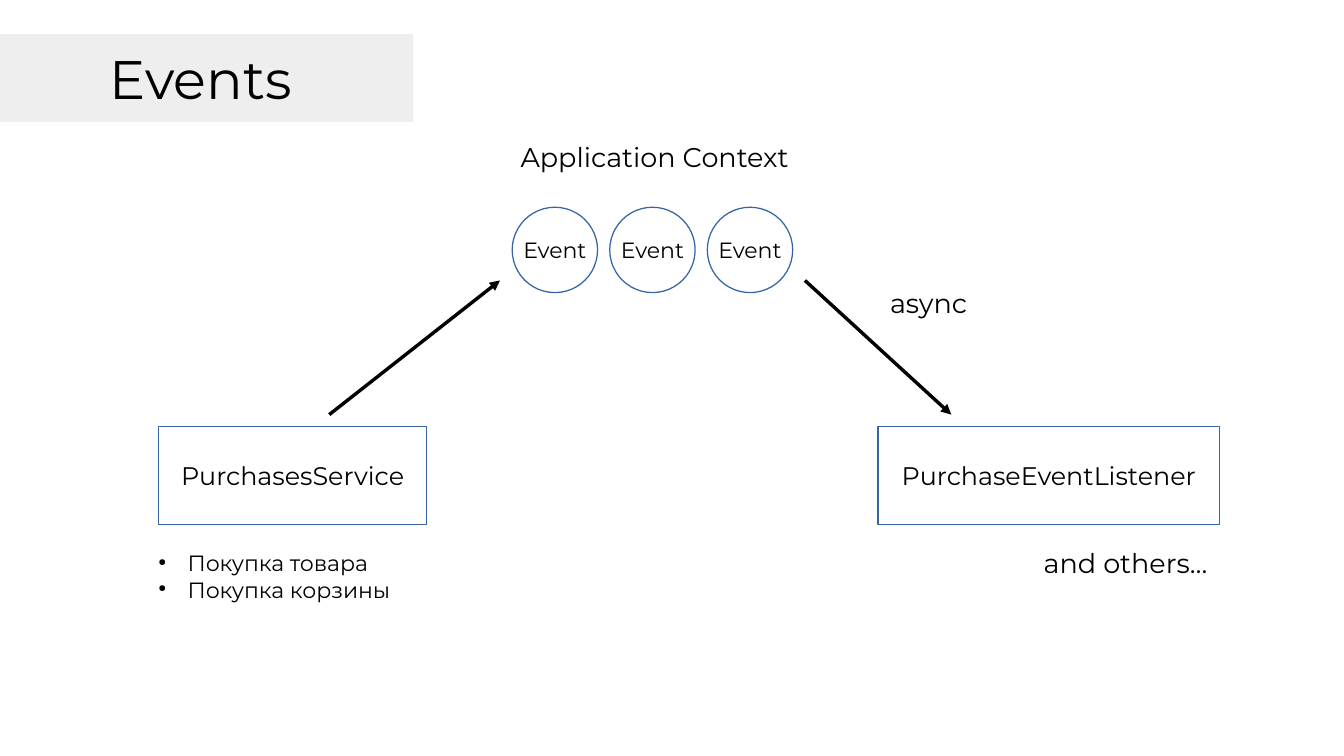
import pptx
import pptx.util
import pptx.dml.color
import pptx.enum.shapes
import pptx.enum.text
import pptx.oxml.ns
from dataclasses import dataclass
from lxml import etree
from pptx.util import Inches


@dataclass(frozen=True)
class Theme:
    font: str = "Montserrat"
    ink: str = "000000"
    paper: str = "FFFFFF"
    outline: str = "3465A4"
    banner: str = "EEEEEE"
    title_size: int = 32
    label_size: int = 16
    service_size: int = 15
    small_size: int = 13


theme = Theme()
rgb = pptx.dml.color.RGBColor.from_string
qn = pptx.oxml.ns.qn
shapes = pptx.enum.shapes.MSO_SHAPE
middle = pptx.enum.text.MSO_ANCHOR.MIDDLE
center = pptx.enum.text.PP_ALIGN.CENTER

deck = pptx.Presentation()
deck.slide_width = Inches(11.02)
deck.slide_height = Inches(6.2)
page = deck.slides.add_slide(deck.slide_layouts[6])


def write(para, text, size):
    span = para.add_run()
    span.text = text
    span.font.name = theme.font
    span.font.size = pptx.util.Pt(size)
    span.font.color.rgb = rgb(theme.ink)


def add_node(kind, place, text, size, fill=theme.paper, outline=theme.outline):
    node = page.shapes.add_shape(kind, *map(Inches, place))
    node.shadow.inherit = False
    node.fill.solid()
    node.fill.fore_color.rgb = rgb(fill)
    if outline:
        node.line.color.rgb = rgb(outline)
        node.line.width = pptx.util.Pt(0)
    else:
        node.line.fill.background()
    frame = node.text_frame
    frame.word_wrap = False
    frame.vertical_anchor = middle
    para = frame.paragraphs[0]
    para.alignment = center
    write(para, text, size)


# Title banner
add_node(shapes.RECTANGLE, (-0.1, 0.28, 3.49, 0.72), "Events",
         theme.title_size, theme.banner, None)

# Publisher and listener
add_node(shapes.RECTANGLE, (1.3, 3.5, 2.2, 0.8), "PurchasesService", theme.service_size)
add_node(shapes.RECTANGLE, (7.2, 3.5, 2.8, 0.8), "PurchaseEventListener", theme.service_size)

# Row of events in the context
for index in range(3):
    add_node(shapes.OVAL, (4.2 + 0.8 * index, 1.7, 0.7, 0.7), "Event", theme.small_size)

# Arrows into and out of the context
for ends in [(2.7, 3.4, 4.1, 2.3), (6.6, 2.3, 7.8, 3.4)]:
    arrow = page.shapes.add_connector(
        pptx.enum.shapes.MSO_CONNECTOR.STRAIGHT, *map(Inches, ends))
    arrow.line.color.rgb = rgb(theme.ink)
    arrow.line.width = pptx.util.Pt(0)
    etree.SubElement(arrow.line._get_or_add_ln(), qn("a:tailEnd"), type="triangle")
    etree.SubElement(arrow._element.spPr, qn("a:effectLst"))

# Labels and the list of purchase kinds
labels = [
    ((4.17, 1.1, 2.43, 0.37), ["Application Context"], theme.label_size, False),
    ((7.2, 2.3, 0.84, 0.37), ["async"], theme.label_size, False),
    ((8.46, 4.43, 1.57, 0.37), ["and others…"], theme.label_size, False),
    ((1.2, 4.46, 2.12, 0.54), ["Покупка товара", "Покупка корзины"], theme.small_size, True),
]
for place, lines, size, bulleted in labels:
    box = page.shapes.add_textbox(*map(Inches, place))
    frame = box.text_frame
    frame.word_wrap = False
    frame.auto_size = pptx.enum.text.MSO_AUTO_SIZE.SHAPE_TO_FIT_TEXT
    for number, line in enumerate(lines):
        para = frame.add_paragraph() if number else frame.paragraphs[0]
        write(para, line, size)
        if bulleted:
            layout = para._p.get_or_add_pPr()
            layout.set("marL", str(Inches(0.24)))
            layout.set("indent", str(-Inches(0.24)))
            color = etree.SubElement(layout, qn("a:buClr"))
            etree.SubElement(color, qn("a:srgbClr"), val=theme.ink)
            etree.SubElement(layout, qn("a:buSzPct"), val="45000")
            etree.SubElement(layout, qn("a:buChar"), char="●")

deck.save("out.pptx")
